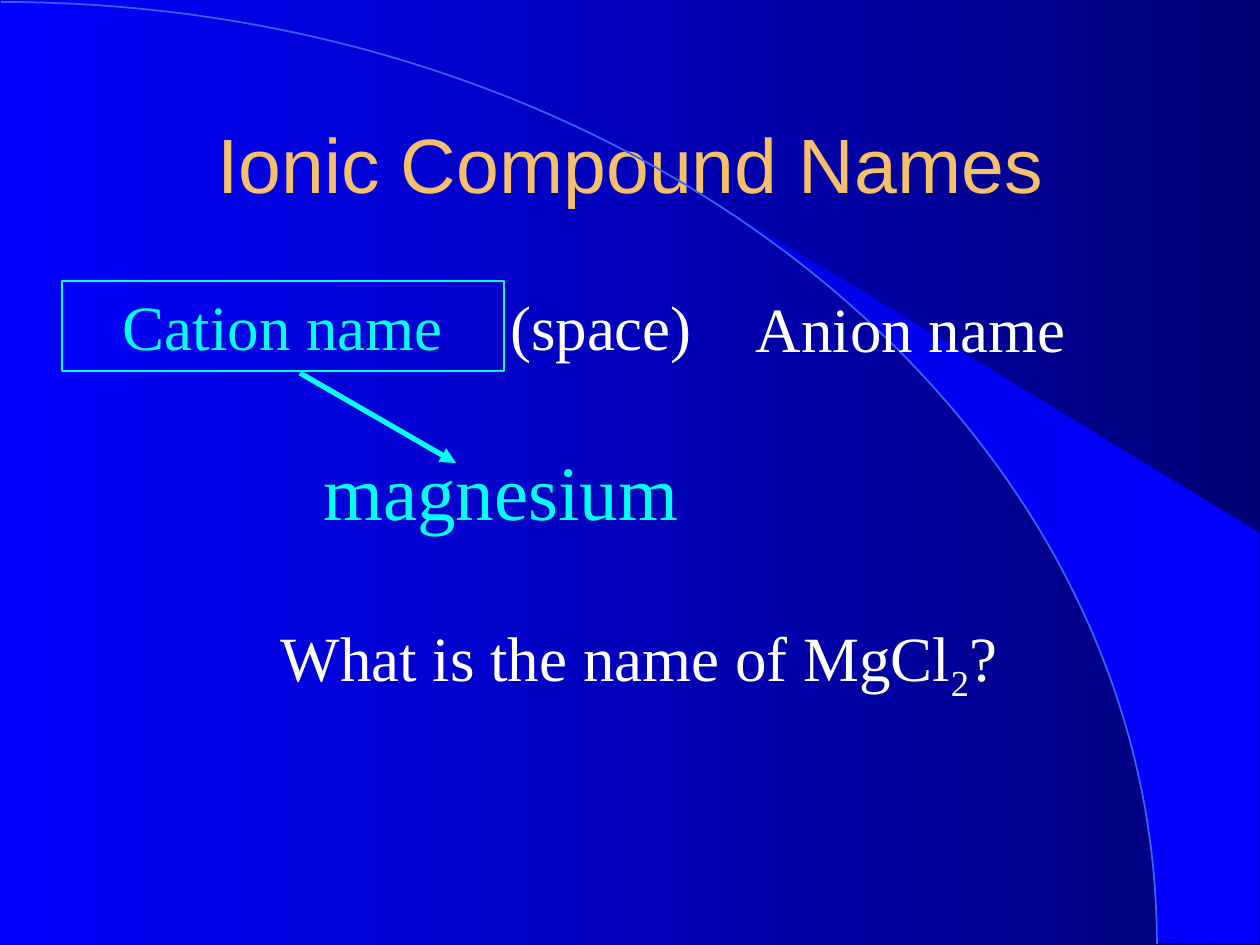
import pptx
import pptx.dml.color
import pptx.enum.shapes
import pptx.enum.text
import pptx.oxml.ns
import pptx.util
from lxml import etree

PX = 914400 / 126
CYAN, WHITE, GOLD = "00FFFF", "FFFFFF", "F6BF69"
CENTER = pptx.enum.text.PP_ALIGN.CENTER
LEFT = pptx.enum.text.PP_ALIGN.LEFT


def color(hex_string):
    return pptx.dml.color.RGBColor.from_string(hex_string)


def fill_gradient(fill, start, end):
    """Fill from left to right."""
    fill.gradient()
    fill.gradient_angle = 0
    for stop, shade in zip(fill.gradient_stops, (start, end)):
        stop.color.rgb = color(shade)


prs = pptx.Presentation()
prs.slide_width = round(1260 * PX)
prs.slide_height = round(945 * PX)
slide = prs.slides.add_slide(prs.slide_layouts[5])
shapes = slide.shapes
title = shapes.title
fill_gradient(slide.background.fill, "0000FF", "000076")

# Bright wedge to the right of the curve
wedge_points = [
    (1159, 942), (1259, 944), (1259, 533), (742, 218), (786, 251), (823, 280),
    (863, 315), (902, 353), (960, 416), (1012, 484), (1048, 543), (1081, 604),
    (1106, 665), (1125, 721), (1138, 767), (1150, 827), (1155, 877),
]
wedge_outline = shapes.build_freeform(*wedge_points[0], scale=PX)
wedge_outline.add_line_segments(wedge_points[1:], close=True)
wedge = wedge_outline.convert_to_shape()
wedge.shadow.inherit = False
wedge.line.fill.background()
fill_gradient(wedge.fill, "0000E5", "0000FF")

# Large curve, sampled from a cubic Bezier
bezier = [(1, 2), (640, 2), (1157, 424), (1157, 944)]
STEPS = 80
curve_points = []
for step in range(STEPS + 1):
    t = step / STEPS
    weights = ((1 - t) ** 3, 3 * t * (1 - t) ** 2, 3 * t ** 2 * (1 - t), t ** 3)
    curve_points.append([sum(w * p[axis] for w, p in zip(weights, bezier))
                         for axis in (0, 1)])
# Tenths of a pixel keep the sampled curve smooth
curve_points = [(round(x * 10), round(y * 10)) for x, y in curve_points]
curve_outline = shapes.build_freeform(*curve_points[0], scale=PX / 10)
curve_outline.add_line_segments(curve_points[1:], close=False)
curve = curve_outline.convert_to_shape()
curve.shadow.inherit = False
curve.fill.background()
curve.line.color.rgb = color("3365FB")
curve.line.width = pptx.util.Pt(1)

cation = shapes.add_shape(pptx.enum.shapes.MSO_SHAPE.RECTANGLE, 0, 0, 0, 0)
cation.shadow.inherit = False
cation.fill.background()
cation.line.color.rgb = color(CYAN)
cation.line.width = pptx.util.Pt(1)
anion, space, question, answer = [shapes.add_textbox(0, 0, 0, 0) for _ in range(4)]

SERIF = "Times New Roman"
labels = [
    (title, (95, 84, 1071, 158), ["Ionic Compound Names"], "Arial", 44, GOLD, CENTER),
    (cation, (62, 281, 442, 90), ["Cation name"], SERIF, 36, CYAN, CENTER),
    (anion, (732, 283, 357, 88), ["Anion name"], SERIF, 36, WHITE, CENTER),
    (space, (479, 281, 244, 88), ["(space)"], SERIF, 36, WHITE, CENTER),
    (question, (168, 612, 942, 88), ["What is the name of MgCl", "2", "?"],
     SERIF, 36, WHITE, CENTER),
    (answer, (311, 437, 685, 105), ["magnesium"], SERIF, 44, CYAN, LEFT),
]
for label, box, texts, font_name, size, shade, align in labels:
    for side, length in zip(("left", "top", "width", "height"), box):
        setattr(label, side, round(length * PX))
    frame = label.text_frame
    frame.word_wrap = True
    frame.vertical_anchor = (pptx.enum.text.MSO_ANCHOR.MIDDLE if label is title
                             else pptx.enum.text.MSO_ANCHOR.TOP)
    paragraph = frame.paragraphs[0]
    paragraph.alignment = align
    for text in texts:
        run = paragraph.add_run()
        run.text = text
        run.font.color.rgb = color(shade)
        for name, value in {"name": font_name, "size": pptx.util.Pt(size)}.items():
            setattr(run.font, name, value)
        if text == "2":
            run.font._element.set("baseline", "-25000")

arrow = shapes.add_connector(pptx.enum.shapes.MSO_CONNECTOR.STRAIGHT,
                             *[round(v * PX) for v in (300, 373, 456, 463)])
arrow.line.color.rgb = color(CYAN)
arrow.line.width = pptx.util.Pt(3)
etree.SubElement(arrow.line._get_or_add_ln(), pptx.oxml.ns.qn("a:tailEnd"), type="triangle")
etree.SubElement(arrow._element.spPr, pptx.oxml.ns.qn("a:effectLst"))

prs.save("out.pptx")
